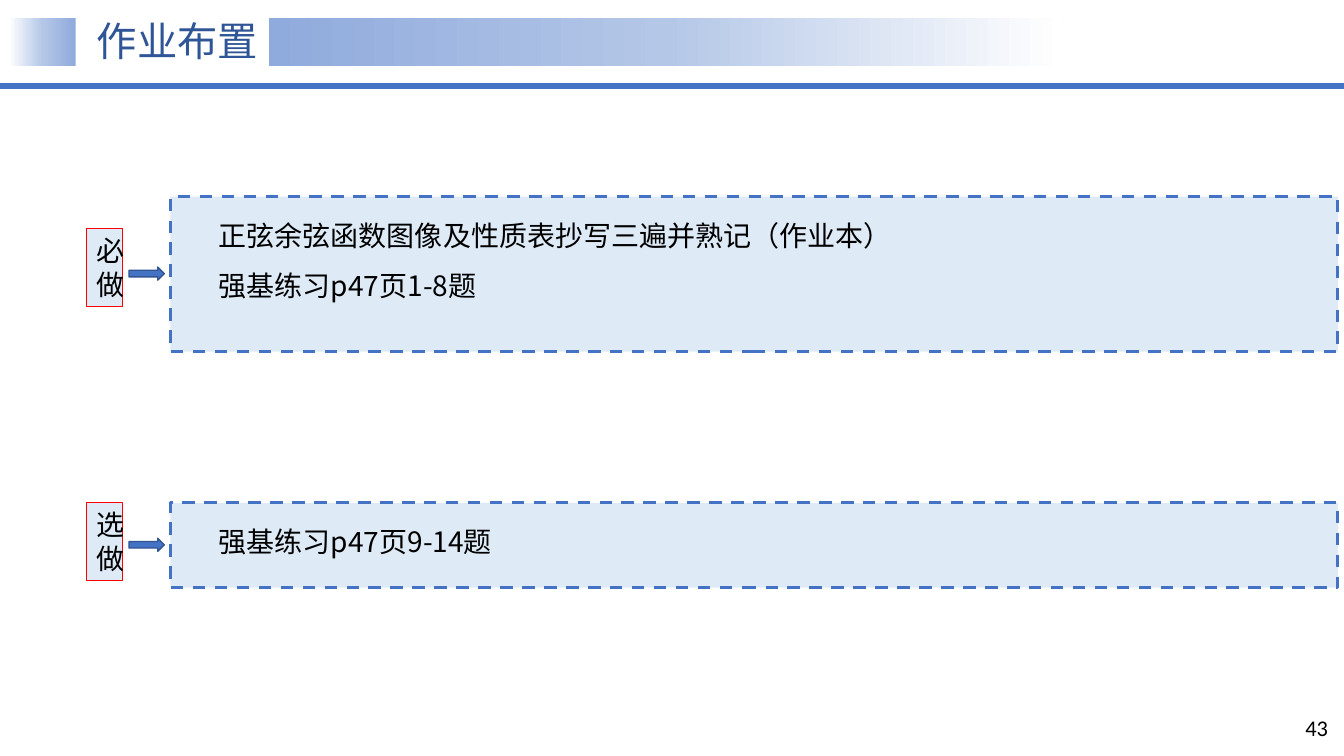
from lxml import etree
from pptx import Presentation
from pptx import util as u
from pptx.dml.color import RGBColor
from pptx.enum import dml, shapes, text
from pptx.oxml import parse_xml
from pptx.oxml.ns import nsdecls, qn

WIDTH, HEIGHT = u.Inches(13.33), u.Inches(7.5)
COLORS = {
    "title": "2F5597", "accent": "4472C4", "arrow_edge": "325491",
    "panel": "DEEBF7", "label_edge": "FF0000", "ink": "000000",
    "fade_start": "8FAADC", "fade_middle": "B4C7E7", "fade_end": "FFFFFF",
}
HAN, LATIN = "Noto Sans CJK SC", "Calibri"
LABEL_X, LABEL_W, LABEL_H = 6.45, 2.7, 10.27
ARROW_X, ARROW_W, ARROW_H = 9.6, 2.63, 1.73
PANEL_X, PANEL_W = 12.68, 86.87
TASKS = [
    ("必做", 30.27, 35.33, 26, 20.53,
     ["正弦余弦函数图像及性质表抄写三遍并熟记（作业本）", "强基练习p47页1-8题"]),
    ("选做", 66.53, 71.2, 66.53, 11.2, ["强基练习p47页9-14题"]),
]


def color(name):
    return RGBColor.from_string(COLORS[name])


def area(left, top, width, height):
    return (int(WIDTH * left / 100), int(HEIGHT * top / 100),
            int(WIDTH * width / 100), int(HEIGHT * height / 100))


def write(paragraph, words, size, ink="ink", font=HAN):
    run = paragraph.add_run()
    run.text = words
    run.font.size = u.Pt(size)
    run.font.name = font
    run.font.color.rgb = color(ink)
    east_asian = etree.SubElement(run.font._element, qn("a:ea"))
    east_asian.set("typeface", font)


def add_block(slide, kind, box, fill, edge=None, weight=1):
    block = slide.shapes.add_shape(kind, *area(*box))
    block.shadow.inherit = False
    block.fill.solid()
    block.fill.fore_color.rgb = color(fill)
    if edge:
        block.line.color.rgb = color(edge)
        block.line.width = u.Pt(weight)
    else:
        block.line.fill.background()
    return block


def add_fade(slide, box, degrees):
    band = add_block(slide, shapes.MSO_SHAPE.RECTANGLE, box, "fade_start")
    stops = "".join(
        f'<a:gs pos="{i * 50000}"><a:srgbClr val="{COLORS[name]}"/></a:gs>'
        for i, name in enumerate(("fade_start", "fade_middle", "fade_end")))
    gradient = parse_xml(
        f'<a:gradFill {nsdecls("a")} rotWithShape="1"><a:gsLst>{stops}</a:gsLst>'
        f'<a:lin ang="{degrees * 60000}" scaled="0"/></a:gradFill>')
    properties = band._element.spPr
    properties.replace(properties.find(qn("a:solidFill")), gradient)


def add_header(slide):
    heading = slide.shapes.title
    heading.left, heading.top, heading.width, heading.height = area(6.45, 1.6, 14.1, 8.27)
    frame = heading.text_frame
    frame.auto_size = text.MSO_AUTO_SIZE.NONE
    frame.vertical_anchor = text.MSO_ANCHOR.MIDDLE
    paragraph = frame.paragraphs[0]
    paragraph.alignment = text.PP_ALIGN.LEFT
    paragraph.line_spacing = 0.9
    write(paragraph, "作业布置", 28.8, "title")

    level = int(HEIGHT * 0.1138)
    rule = slide.shapes.add_connector(shapes.MSO_CONNECTOR.STRAIGHT, WIDTH, level, 0, level)
    rule.line.color.rgb = color("accent")
    rule.line.width = u.Pt(4.5)
    etree.SubElement(rule._element.spPr, qn("a:effectLst"))

    add_fade(slide, (0.68, 2.4, 4.95, 6.4), 180)
    add_fade(slide, (20.03, 2.4, 59.04, 6.4), 0)


def add_page_number(slide, number):
    frame = slide.shapes.add_textbox(*area(95.05, 93.6, 4.5, 5.33)).text_frame
    frame.word_wrap = True
    frame.vertical_anchor = text.MSO_ANCHOR.MIDDLE
    frame.paragraphs[0].alignment = text.PP_ALIGN.RIGHT
    write(frame.paragraphs[0], number, 16, font=LATIN)


def add_panel(slide, top, height, lines):
    panel = add_block(slide, shapes.MSO_SHAPE.RECTANGLE,
                      (PANEL_X, top, PANEL_W, height), "panel", "accent", 2.25)
    panel.line.dash_style = dml.MSO_LINE.DASH
    frame = panel.text_frame
    frame.vertical_anchor = text.MSO_ANCHOR.TOP
    for i, line in enumerate(lines):
        paragraph = frame.add_paragraph() if i else frame.paragraphs[0]
        paragraph.alignment = text.PP_ALIGN.JUSTIFY
        paragraph.line_spacing = 1.5
        paragraph._p.get_or_add_pPr().set("marL", str(u.Inches(0.38)))
        write(paragraph, line, 20)


def add_label(slide, top, words):
    label = add_block(slide, shapes.MSO_SHAPE.RECTANGLE,
                      (LABEL_X, top, LABEL_W, LABEL_H), "panel", "label_edge", 0.75)
    frame = label.text_frame
    frame.word_wrap = True
    frame.auto_size = text.MSO_AUTO_SIZE.SHAPE_TO_FIT_TEXT
    frame.vertical_anchor = text.MSO_ANCHOR.TOP
    frame.paragraphs[0].alignment = text.PP_ALIGN.CENTER
    write(frame.paragraphs[0], words, 20)


def main():
    deck = Presentation()
    deck.slide_width, deck.slide_height = WIDTH, HEIGHT
    slide = deck.slides.add_slide(deck.slide_layouts[5])
    add_header(slide)
    add_page_number(slide, "43")
    for name, label_top, arrow_top, panel_top, panel_height, lines in TASKS:
        add_panel(slide, panel_top, panel_height, lines)
        add_label(slide, label_top, name)
        add_block(slide, shapes.MSO_SHAPE.RIGHT_ARROW,
                  (ARROW_X, arrow_top, ARROW_W, ARROW_H), "accent", "arrow_edge")
    deck.save("out.pptx")


if __name__ == "__main__":
    main()
